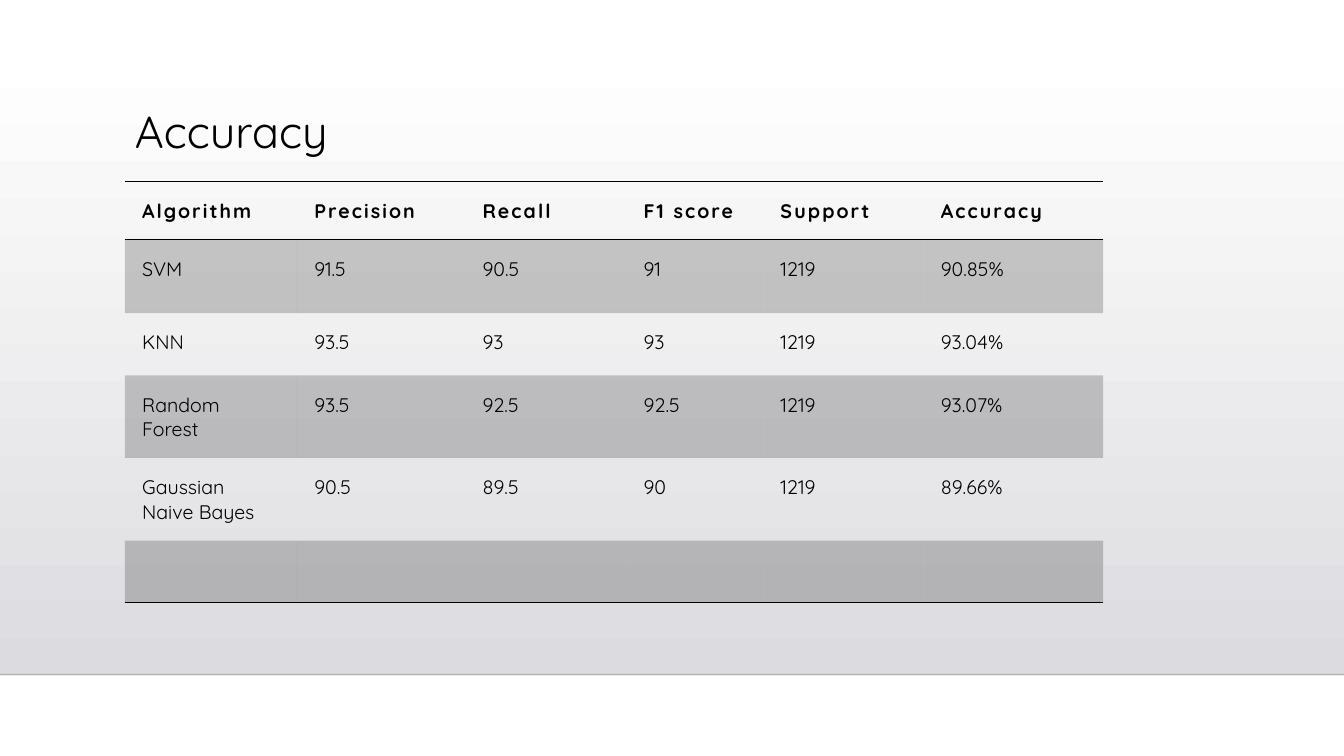
from dataclasses import dataclass

from lxml import etree
from pptx import Presentation
from pptx import util as u
from pptx.dml.color import RGBColor
from pptx.enum import shapes, text
from pptx.oxml import ns


@dataclass(frozen=True)
class Theme:
    font: str = "Quicksand"
    ink: str = "000000"
    backdrop_top: str = "FFFFFF"
    backdrop_bottom: str = "DCDCE0"
    title_size: int = 32
    table_size: int = 14
    header_spacing: int = 150  # hundredths of a point
    faint: int = 20  # per cent opacity of bands and the floor line
    plain_table: str = "{2D5ABB26-0587-4C30-8999-92F81FD0307C}"


THEME = Theme()
COLUMN_WIDTHS = [4.34, 4.24, 4.06, 3.45, 4.04, 4.52]
ROW_HEIGHTS = [1.47, 1.85, 1.57, 2.08, 2.08, 1.57]
SCORES = [
    ["Algorithm", "Precision", "Recall", "F1 score", "Support", "Accuracy"],
    ["SVM", "91.5", "90.5", "91", "1219", "90.85%"],
    ["KNN", "93.5", "93", "93", "1219", "93.04%"],
    ["Random Forest", "93.5", "92.5", "92.5", "1219", "93.07%"],
    ["Gaussian Naive Bayes", "90.5", "89.5", "90", "1219", "89.66%"],
    [""] * 6,
]


def add_element(parent, tag, **attributes):
    return etree.SubElement(parent, ns.qn(tag), attributes)


def set_opacity(color_format_parent, percent):
    color = next(color_format_parent.iter(ns.qn("a:srgbClr")))
    add_element(color, "a:alpha", val=str(percent * 1000))


def style_font(font, size, bold=False):
    font.name = THEME.font
    font.size = u.Pt(size)
    font.bold = bold
    font.color.rgb = RGBColor.from_string(THEME.ink)


# Backdrop: shaded wall standing on a faint floor line
def add_backdrop(slide, left, top, width, height):
    wall = slide.shapes.add_shape(
        shapes.MSO_SHAPE.RECTANGLE, left, top, width, height)
    wall.shadow.inherit = False
    wall.line.fill.background()
    wall.fill.gradient()
    wall.fill.gradient_angle = 270
    colors = (THEME.backdrop_top, THEME.backdrop_bottom)
    for stop, color, position in zip(wall.fill.gradient_stops, colors, (0, 1)):
        stop.color.rgb = RGBColor.from_string(color)
        stop.position = position

    floor = slide.shapes.add_connector(
        shapes.MSO_CONNECTOR.STRAIGHT,
        left, top + height, left + width, top + height)
    floor.line.width = u.Pt(1)
    floor.line.color.rgb = RGBColor.from_string(THEME.ink)
    properties = floor.element.spPr
    set_opacity(properties, THEME.faint)
    add_element(properties, "a:effectLst")


def add_title(slide, wording, left, top, width, height):
    frame = slide.shapes.add_textbox(left, top, width, height).text_frame
    frame.word_wrap = True
    frame.vertical_anchor = text.MSO_ANCHOR.TOP
    paragraph = frame.paragraphs[0]
    paragraph.text = wording
    paragraph.line_spacing = 0.9
    style_font(paragraph.font, THEME.title_size)


def add_border(cell, tag):
    line = add_element(cell._tc.get_or_add_tcPr(), tag, w=str(u.Pt(1)))
    fill = add_element(line, "a:solidFill")
    add_element(fill, "a:srgbClr", val=THEME.ink)


def fill_cell(cell, wording, row, last_row):
    margin = u.Cm(0.43)
    cell.margin_left = cell.margin_right = margin
    cell.margin_top = cell.margin_bottom = margin
    paragraph = cell.text_frame.paragraphs[0]
    paragraph.text = wording
    style_font(paragraph.font, THEME.table_size, bold=row == 0)

    # Rules around the header and under the last row
    if row == 0:
        add_border(cell, "a:lnT")
        for run in paragraph.runs:
            run.font._element.set("spc", str(THEME.header_spacing))
    if row in (0, last_row):
        add_border(cell, "a:lnB")

    # Bands on every other row
    if row % 2:
        cell.fill.solid()
        cell.fill.fore_color.rgb = RGBColor.from_string(THEME.ink)
        set_opacity(cell._tc.tcPr.find(ns.qn("a:solidFill")), THEME.faint)
    else:
        cell.fill.background()


def add_score_table(slide, left, top):
    width, height = u.Cm(sum(COLUMN_WIDTHS)), u.Cm(sum(ROW_HEIGHTS))
    table = slide.shapes.add_table(
        len(SCORES), len(COLUMN_WIDTHS), left, top, width, height).table
    table._tbl.tblPr.find(ns.qn("a:tableStyleId")).text = THEME.plain_table
    for column, column_width in zip(table.columns, COLUMN_WIDTHS):
        column.width = u.Cm(column_width)
    for row, (row_height, wordings) in enumerate(zip(ROW_HEIGHTS, SCORES)):
        table.rows[row].height = u.Cm(row_height)
        for column, wording in enumerate(wordings):
            fill_cell(table.cell(row, column), wording, row, len(SCORES) - 1)


def main():
    presentation = Presentation()
    presentation.slide_width = u.Cm(33.87)
    presentation.slide_height = u.Cm(19.05)
    slide = presentation.slides.add_slide(presentation.slide_layouts[6])
    left = u.Cm(3.15)
    add_backdrop(slide, 0, u.Cm(1.3), presentation.slide_width, u.Cm(15.7))
    add_title(slide, "Accuracy", left, u.Cm(2.64), u.Cm(26.67), u.Cm(2.92))
    add_score_table(slide, left, u.Cm(4.57))
    presentation.save("out.pptx")


if __name__ == "__main__":
    main()
